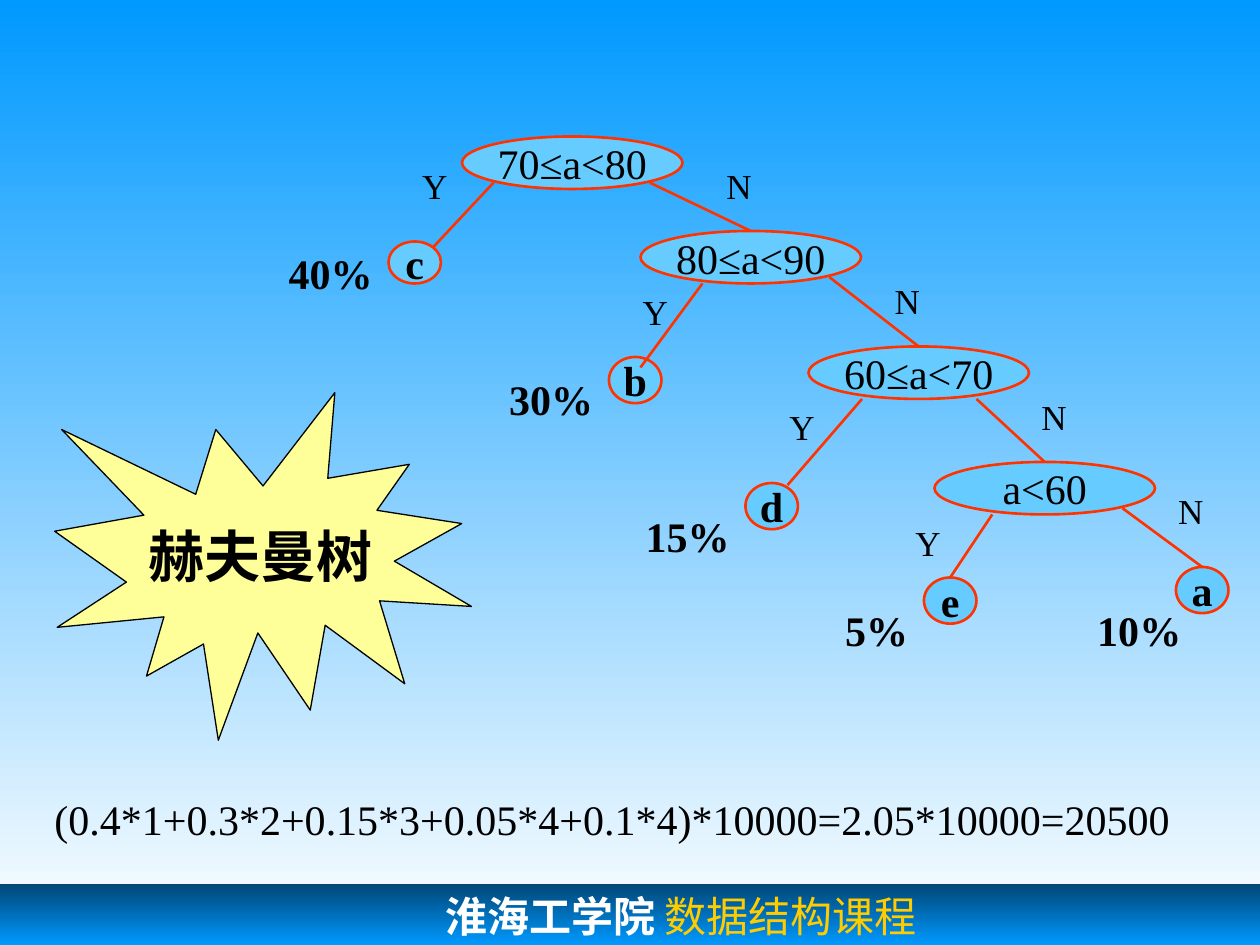
from copy import deepcopy
from dataclasses import dataclass

from lxml.etree import SubElement
from pptx import Presentation
from pptx.dml.color import RGBColor
from pptx.enum.shapes import MSO_CONNECTOR, MSO_SHAPE
from pptx.enum.text import MSO_ANCHOR, PP_ALIGN
from pptx.oxml.ns import qn
from pptx.util import Inches, Pt


@dataclass(frozen=True)
class Theme:
    sky: str = "0099FF"
    white: str = "FFFFFF"
    navy: str = "004675"
    gold: str = "FFCC00"
    node: str = "66CCFF"
    branch: str = "FF3300"
    burst: str = "FFFF99"
    ink: str = "000000"
    serif: str = "Times New Roman"
    mono: str = "DejaVu Sans Mono"
    title: int = 32
    body: int = 24
    answer: int = 20
    branch_width: float = 1.5
    outline_width: float = 0.75


THEME = Theme()
COLUMNS, ROWS = 120, 90
WIDTH, HEIGHT = Inches(10), Inches(7.5)

QUESTIONS = [
    ("70≤a<80", 44, 13),
    ("80≤a<90", 61, 22),
    ("60≤a<70", 77, 33),
    ("a<60", 89, 44),
]
GRADES = {
    "c": (37, 23, 4),
    "b": (58, 34, 4.4),
    "d": (71, 46, 4.4),
    "e": (88, 55, 4.4),
    "a": (112, 54, 4.4),
}
SHARES = [("40%", 26, 23), ("30%", 47, 35), ("15%", 60, 48), ("5%", 78, 57), ("10%", 103, 57)]
YES_BRANCHES = [
    ((47, 17.4), (41.3, 23.5)),
    ((66.9, 27), (61, 35)),
    ((82.1, 38), (75, 46.2)),
]
NO_STARTS = [(61.9, 17.4), (79, 26.4), (93, 38), (106.9, 48.4)]
LAST_YES_START = (94.5, 49)
ANSWERS = {
    "Y": [(39, 15), (60, 27), (74, 38), (86, 49)],
    "N": [(68, 15), (84, 26), (98, 37), (111, 46)],
}


def across(columns):
    return round(WIDTH * columns / COLUMNS)


def down(rows):
    return round(HEIGHT * rows / ROWS)


def grid_box(column, row, columns, rows):
    return across(column), down(row), across(columns), down(rows)


def style_font(font, color, size=THEME.body, bold=False, name=THEME.serif):
    font.name, font.size, font.bold = name, Pt(size), bold
    font.color.rgb = RGBColor.from_string(color)


def write(frame, text, size=THEME.body, bold=False, align=PP_ALIGN.CENTER,
          anchor=MSO_ANCHOR.MIDDLE, wrap=False):
    frame.word_wrap, frame.vertical_anchor = wrap, anchor
    paragraph = frame.paragraphs[0]
    paragraph.text, paragraph.alignment = text, align
    style_font(paragraph.font, THEME.ink, size, bold)


def apply_gradient(fill, owner, colors):
    fill.gradient()
    fill.gradient_angle = 270
    stop_list = next(owner.iter(qn("a:gsLst")))
    while len(stop_list) < len(colors):
        stop_list.append(deepcopy(stop_list[-1]))
    for index, (stop, color) in enumerate(zip(fill.gradient_stops, colors)):
        stop.position = index / (len(colors) - 1)
        stop.color.rgb = RGBColor.from_string(color)


def add_filled(slide, preset, box, fill, line, line_width):
    filled = slide.shapes.add_shape(preset, *box)
    filled.shadow.inherit = False
    filled.fill.solid()
    filled.fill.fore_color.rgb = RGBColor.from_string(fill)
    filled.line.color.rgb = RGBColor.from_string(line)
    filled.line.width = Pt(line_width)
    return filled


def add_node(slide, text, box, bold=False):
    node = add_filled(slide, MSO_SHAPE.OVAL, box, THEME.node, THEME.branch, THEME.branch_width)
    write(node.text_frame, text, bold=bold)
    return node


def add_branch(slide, start, end):
    branch = slide.shapes.add_connector(
        MSO_CONNECTOR.STRAIGHT, across(start[0]), down(start[1]), across(end[0]), down(end[1]))
    branch.line.color.rgb = RGBColor.from_string(THEME.branch)
    branch.line.width = Pt(THEME.branch_width)
    SubElement(branch.element.spPr, qn("a:effectLst"))
    return branch


def add_label(slide, text, box, **style):
    label = slide.shapes.add_textbox(*box)
    write(label.text_frame, text, **style)


def add_footer(slide):
    footer = slide.shapes.add_shape(MSO_SHAPE.RECTANGLE, *grid_box(0, 84.2, COLUMNS, 11.6))
    footer.shadow.inherit = False
    footer.line.fill.background()
    apply_gradient(footer.fill, footer.element, [THEME.navy, THEME.sky, THEME.navy])
    frame = footer.text_frame
    frame.margin_left = across(42.4)
    frame.vertical_anchor = MSO_ANCHOR.TOP
    paragraph = frame.paragraphs[0]
    paragraph.alignment = PP_ALIGN.LEFT
    school, course = paragraph.add_run(), paragraph.add_run()
    school.text, course.text = "淮海工学院", " 数据结构课程"
    style_font(school.font, THEME.white, bold=True, name=THEME.mono)
    style_font(course.font, THEME.gold)


def add_tree(slide):
    grades = {grade: add_node(slide, grade, grid_box(column, row, 5, rows), bold=True)
              for grade, (column, row, rows) in GRADES.items()}
    questions = [add_node(slide, text, grid_box(column, row, 21, 5))
                 for text, column, row in QUESTIONS]
    for start, end in YES_BRANCHES:
        add_branch(slide, start, end)
    children = questions[1:] + [grades["a"], grades["e"]]
    for start, child in zip(NO_STARTS + [LAST_YES_START], children):
        add_branch(slide, start, start).end_connect(child, 0)
    for text, column, row in SHARES:
        add_label(slide, text, grid_box(column, row, 11, 6), bold=True,
                  anchor=MSO_ANCHOR.TOP, wrap=True)
    for answer, places in ANSWERS.items():
        for column, row in places:
            add_label(slide, answer, grid_box(column, row, 4.8, 5.25), size=THEME.answer)


def add_burst(slide):
    burst = add_filled(slide, MSO_SHAPE.EXPLOSION1, grid_box(5.2, 37.4, 39.7, 33.1),
                       THEME.burst, THEME.ink, THEME.outline_width)
    write(burst.text_frame, "赫夫曼树", size=THEME.title, bold=True)


def main():
    deck = Presentation()
    deck.slide_width, deck.slide_height = WIDTH, HEIGHT
    slide = deck.slides.add_slide(deck.slide_layouts[6])
    apply_gradient(slide.background.fill, slide.element, [THEME.sky, THEME.white])
    add_footer(slide)
    add_tree(slide)
    add_label(slide, "(0.4*1+0.3*2+0.15*3+0.05*4+0.1*4)*10000=2.05*10000=20500",
              grid_box(4, 75, 111, 6), align=PP_ALIGN.LEFT, anchor=MSO_ANCHOR.TOP, wrap=True)
    add_burst(slide)
    deck.save("out.pptx")


if __name__ == "__main__":
    main()
